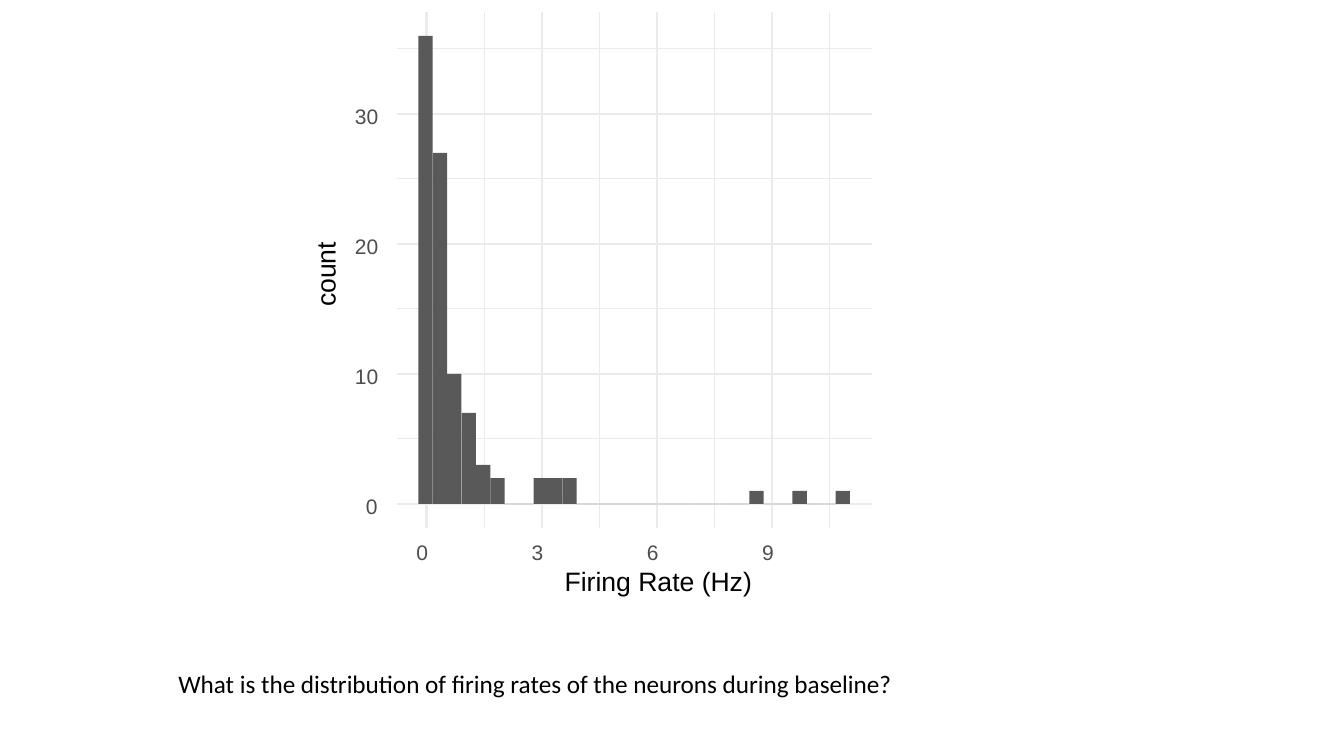
from dataclasses import dataclass

from lxml.etree import SubElement
from pptx import Presentation
from pptx.dml.color import RGBColor
from pptx.enum.shapes import MSO_CONNECTOR, MSO_SHAPE
from pptx.enum.text import MSO_AUTO_SIZE
from pptx.oxml.ns import qn
from pptx.slide import Slide
from pptx.util import Inches, Pt


@dataclass(frozen=True)
class Theme:
    grid: RGBColor = RGBColor(0xEB, 0xEB, 0xEB)
    bar: RGBColor = RGBColor(0x59, 0x59, 0x59)
    tick: RGBColor = RGBColor(0x4D, 0x4D, 0x4D)
    ink: RGBColor = RGBColor(0, 0, 0)
    chart_font: str = "Arial"
    body_font: str = "Calibri"
    tick_size: int = 15
    axis_size: int = 19
    body_size: int = 18
    minor_width: float = 0.75
    major_width: float = 1.5


@dataclass(frozen=True)
class Label:
    text: str
    left: float
    top: float
    width: float
    height: float
    size: int
    color: RGBColor
    font: str = Theme.chart_font
    rotation: int = 0
    inset: bool = False


THEME = Theme()

# Plot area in inches, and the scales of its two axes
LEFT, RIGHT, TOP, BOTTOM = 3.94, 8.65, 0.12, 5.24
ZERO_X, INCHES_PER_HZ = 4.23, 0.381
ZERO_Y, INCHES_PER_COUNT = 5.0, 0.129
FIRST_BIN, BIN_WIDTH = 4.15, 0.1427

COUNTS = [36, 27, 10, 7, 3, 2, 0, 0, 2, 2, 2] + [0] * 12 + [1, 0, 0, 1, 0, 0, 1]
COUNT_TICKS = range(0, 31, 10)
RATE_TICKS = range(0, 10, 3)


def x_of(rate: float) -> float:
    return ZERO_X + rate * INCHES_PER_HZ


def y_of(count: float) -> float:
    return ZERO_Y - count * INCHES_PER_COUNT


def add_grid_line(page: Slide, x1: float, y1: float, x2: float, y2: float, width: float) -> None:
    line = page.shapes.add_connector(
        MSO_CONNECTOR.STRAIGHT, Inches(x1), Inches(y1), Inches(x2), Inches(y2)
    )
    line.line.color.rgb = THEME.grid
    line.line.width = Pt(width)
    SubElement(line._element.spPr, qn("a:effectLst"))


def add_grid(page: Slide, count_shift: float, rate_shift: float, width: float) -> None:
    """Draw one line per tick in both directions, moved by the given shifts."""
    for count in COUNT_TICKS:
        y = y_of(count + count_shift)
        add_grid_line(page, LEFT, y, RIGHT, y, width)
    for rate in RATE_TICKS:
        x = x_of(rate + rate_shift)
        add_grid_line(page, x, BOTTOM, x, TOP, width)


def add_bars(page: Slide) -> None:
    for index, count in enumerate(COUNTS):
        bar = page.shapes.add_shape(
            MSO_SHAPE.RECTANGLE,
            Inches(FIRST_BIN + index * BIN_WIDTH),
            Inches(y_of(count)),
            Inches(BIN_WIDTH),
            Inches(count * INCHES_PER_COUNT),
        )
        bar.shadow.inherit = False
        bar.fill.solid()
        bar.fill.fore_color.rgb = THEME.bar
        bar.line.fill.background()


def add_label(page: Slide, label: Label) -> None:
    box = page.shapes.add_textbox(
        Inches(label.left), Inches(label.top), Inches(label.width), Inches(label.height)
    )
    box.rotation = label.rotation
    frame = box.text_frame
    frame.word_wrap = False
    frame.auto_size = MSO_AUTO_SIZE.SHAPE_TO_FIT_TEXT
    if not label.inset:
        frame.margin_left = frame.margin_right = 0
        frame.margin_top = frame.margin_bottom = 0
    para = frame.paragraphs[0]
    para.text = label.text
    para.font.name = label.font
    para.font.size = Pt(label.size)
    para.font.color.rgb = label.color


def tick_labels() -> list[Label]:
    size, color = THEME.tick_size, THEME.tick
    counts = [
        Label(str(count), 3.52 if count else 3.63, y_of(count) - 0.1,
              0.31 if count else 0.2, 0.27, size, color)
        for count in COUNT_TICKS
    ]
    rates = [
        Label(str(rate), x_of(rate) - 0.1, 5.35, 0.2, 0.27, size, color)
        for rate in RATE_TICKS
    ]
    return counts + rates


def main() -> None:
    deck = Presentation()
    deck.slide_width, deck.slide_height = Inches(13.33), Inches(7.5)
    page = deck.slides.add_slide(deck.slide_layouts[6])

    add_grid(page, 5, 1.5, THEME.minor_width)
    add_grid(page, 0, 0, THEME.major_width)
    add_bars(page)

    titles = [
        Label("Firing Rate (Hz)", 5.6, 5.6, 1.89, 0.32, THEME.axis_size, THEME.ink),
        Label("count", 2.87, 2.5, 0.74, 0.35, THEME.axis_size, THEME.ink, rotation=270),
        Label("What is the distribution of firing rates of the neurons during baseline?",
              1.67, 6.58, 7.37, 0.4, THEME.body_size, THEME.ink, THEME.body_font, inset=True),
    ]
    for label in tick_labels() + titles:
        add_label(page, label)
    deck.save("out.pptx")


if __name__ == "__main__":
    main()
